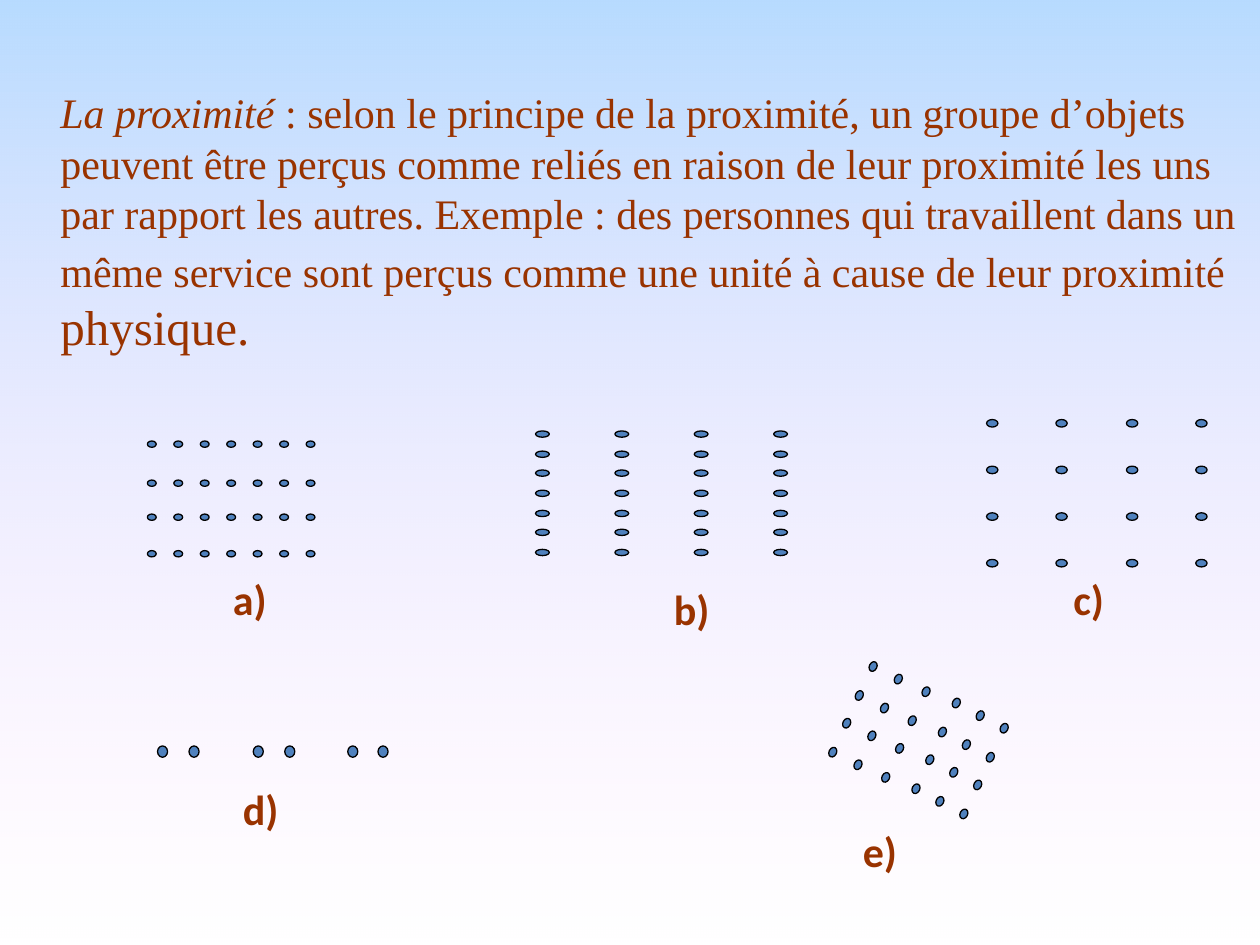
from dataclasses import dataclass
from itertools import product

from lxml.etree import SubElement
from pptx import Presentation
from pptx.dml.color import RGBColor
from pptx.enum.shapes import MSO_SHAPE
from pptx.enum.text import MSO_ANCHOR, MSO_AUTO_SIZE, PP_ALIGN
from pptx.oxml.ns import qn
from pptx.util import Emu, Pt

EMU_PER_PX = 9144


@dataclass(frozen=True)
class Theme:
    text: str = "993300"
    dot: str = "4F81BD"
    outline: str = "000000"
    gradient: tuple = ((0, "99CCFF", 70), (100, "FFCCFF", 0))
    body_font: str = "Times New Roman"
    label_font: str = "Calibri"
    size: int = 24
    large_size: int = 28
    outline_width: float = 0.75


def px(length):
    return Emu(round(length * EMU_PER_PX))


def evenly(first, last, count):
    return [round(first + (last - first) * index / (count - 1)) for index in range(count)]


class SlideBuilder:
    def __init__(self, slide, theme):
        self.slide = slide
        self.theme = theme

    def add_run(self, paragraph, text, font_name, size, bold=False, italic=False):
        run = paragraph.add_run()
        run.text = text
        run.font.name = font_name
        run.font.size = Pt(size)
        run.font.bold = bold
        run.font.italic = italic
        run.font.color.rgb = RGBColor.from_string(self.theme.text)

    def fill_gradient(self, shape):
        shape.fill.gradient()
        gradient = shape.fill._xPr.find(qn("a:gradFill"))
        for child in list(gradient):
            gradient.remove(child)
        stops = SubElement(gradient, qn("a:gsLst"))
        for position, color, opacity in self.theme.gradient:
            stop = SubElement(stops, qn("a:gs"), pos=str(position * 1000))
            color_element = SubElement(stop, qn("a:srgbClr"), val=color)
            SubElement(color_element, qn("a:alpha"), val=str(opacity * 1000))
        SubElement(gradient, qn("a:lin"), ang="5400000", scaled="1")

    def add_body(self, left, top, width, height, insets, runs):
        shape = self.slide.shapes.add_shape(
            MSO_SHAPE.RECTANGLE, px(left), px(top), px(width), px(height)
        )
        shape.shadow.inherit = False
        shape.line.fill.background()
        self.fill_gradient(shape)
        frame = shape.text_frame
        frame.word_wrap = True
        frame.vertical_anchor = MSO_ANCHOR.TOP
        frame.margin_left, frame.margin_top, frame.margin_right = map(px, insets)
        paragraph = frame.paragraphs[0]
        paragraph.alignment = PP_ALIGN.LEFT
        for text, size, italic in runs:
            self.add_run(paragraph, text, self.theme.body_font, size, italic=italic)

    def add_dots(self, positions, width, height, rotation=0):
        group = self.slide.shapes.add_group_shape()
        for left, top in positions:
            dot = group.shapes.add_shape(
                MSO_SHAPE.OVAL, px(left), px(top), px(width), px(height)
            )
            dot.rotation = rotation
            dot.shadow.inherit = False
            dot.fill.solid()
            dot.fill.fore_color.rgb = RGBColor.from_string(self.theme.dot)
            dot.line.color.rgb = RGBColor.from_string(self.theme.outline)
            dot.line.width = Pt(self.theme.outline_width)

    def add_label(self, text, left, top, width=50, height=50):
        box = self.slide.shapes.add_textbox(px(left), px(top), px(width), px(height))
        frame = box.text_frame
        frame.word_wrap = False
        frame.auto_size = MSO_AUTO_SIZE.SHAPE_TO_FIT_TEXT
        self.add_run(
            frame.paragraphs[0], text, self.theme.label_font, self.theme.size, bold=True
        )


def main():
    presentation = Presentation()
    presentation.slide_width = px(1000)
    presentation.slide_height = px(750)
    theme = Theme()
    builder = SlideBuilder(
        presentation.slides.add_slide(presentation.slide_layouts[6]), theme
    )

    definition = (
        "\u00a0: selon le principe de la proximité, un groupe d’objets peuvent être "
        "perçus comme reliés en raison de leur proximité les uns par rapport les autres. "
        "Exemple\u00a0: des personnes qui travaillent dans un même service sont perçus "
        "comme une unité à cause de leur proximité"
    ).replace("\u00a0", " ")
    builder.add_body(0, 0, 1000, 750, (48, 69, 10), [
        ("La proximité", theme.size, True),
        (definition, theme.size, False),
        (" physique.", theme.large_size, False),
    ])

    builder.add_dots(product(evenly(117, 243, 7), (350, 381, 408, 437)), 7, 5)
    builder.add_dots(product(evenly(783, 949, 4), evenly(333, 444, 4)), 9, 6)
    builder.add_dots(product((125, 150, 201, 226, 276, 300), (592,)), 8, 9)
    builder.add_dots(product(evenly(425, 614, 4), evenly(342, 436, 7)), 11, 5)

    tilted_tops = zip((690, 710, 732, 756, 775, 794), evenly(525, 574, 6))
    tilted_shifts = zip(evenly(0, -32, 4), evenly(0, 68, 4))
    builder.add_dots(
        [(left + across, top + down)
         for (left, top), (across, down) in product(tilted_tops, tilted_shifts)],
        6, 8, rotation=26.4,
    )

    for text, left, top in (
        ("a)", 175, 450), ("b)", 525, 458), ("c)", 842, 450),
        ("d)", 183, 617), ("e)", 675, 650),
    ):
        builder.add_label(text, left, top)

    presentation.save("out.pptx")


if __name__ == "__main__":
    main()
